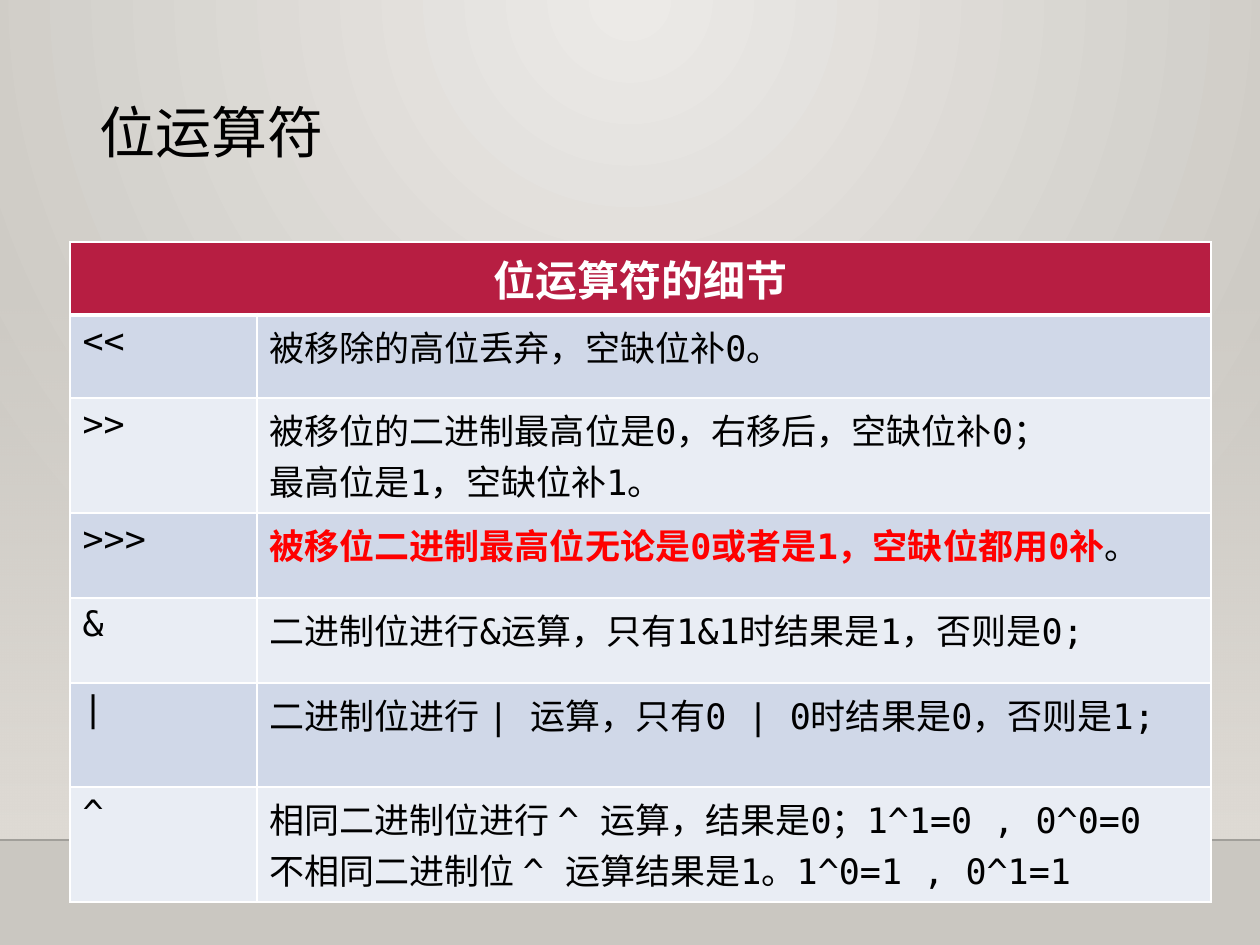
from lxml import etree
from pptx import Presentation
from pptx import util as u
from pptx.dml.color import RGBColor
from pptx.enum import shapes, text
from pptx.oxml import ns

PX_PER_INCH = 126
FONT = "DejaVu Sans Mono"
BLACK = RGBColor(0x00, 0x00, 0x00)
WHITE = RGBColor(0xFF, 0xFF, 0xFF)
RED = RGBColor(0xFF, 0x00, 0x00)
CRIMSON = RGBColor(0xB7, 0x1E, 0x42)
BAND_DARK = RGBColor(0xD0, 0xD8, 0xE8)
BAND_LIGHT = RGBColor(0xE9, 0xED, 0xF4)
GLOW = RGBColor(0xEC, 0xEA, 0xE7)
STONE = RGBColor(0xCA, 0xC7, 0xC1)
SAND = RGBColor(0xDF, 0xDB, 0xD5)
HORIZON = RGBColor(0x00, 0x00, 0x01)

COLUMNS = (187, 954)
ROW_HEIGHTS = (73, 83, 115, 85, 85, 104, 115)
HEADING = "位运算符的细节"
OPERATORS = [
    ("<<", ["被移除的高位丢弃，空缺位补0。"]),
    (">>", ["被移位的二进制最高位是0，右移后，空缺位补0；",
            "最高位是1，空缺位补1。"]),
    (">>>", [[("被移位二进制最高位无论是0或者是1，空缺位都用0补",
               {"color": RED, "bold": True}), ("。", {})]]),
    ("&", ["二进制位进行&运算，只有1&1时结果是1，否则是0;"]),
    ("|", ["二进制位进行 | 运算，只有0 | 0时结果是0，否则是1;"]),
    ("^", ["相同二进制位进行 ^ 运算，结果是0；1^1=0 , 0^0=0",
           "不相同二进制位 ^ 运算结果是1。1^0=1 , 0^1=1"]),
]


def px(length):
    return u.Inches(length / PX_PER_INCH)


def child(parent, tag, **attributes):
    return etree.SubElement(parent, ns.qn(tag), attributes)


def set_alpha(element, percent):
    color = next(element.iter(ns.qn("a:srgbClr")))
    child(color, "a:alpha", val=str(percent * 1000))


def set_gradient(fill, colors):
    fill.gradient()
    for stop, color, position in zip(fill.gradient_stops, colors, (0, 1)):
        stop.color.rgb = color
        stop.position = position


def write(frame, lines, size=20, color=BLACK, bold=False, align=None, spacing=None):
    frame.word_wrap = True
    for index, line in enumerate(lines):
        para = frame.add_paragraph() if index else frame.paragraphs[0]
        para.alignment = align
        para.line_spacing = spacing
        for words, changes in [(line, {})] if isinstance(line, str) else line:
            span = para.add_run()
            span.text = words
            span.font.name = FONT
            span.font.size = u.Pt(size)
            span.font.color.rgb = changes.get("color", color)
            span.font.bold = changes.get("bold", bold)


class SlideBuilder:
    def __init__(self, deck):
        self.page = deck.slides.add_slide(deck.slide_layouts[6])

    def background(self, center, edge):
        set_gradient(self.page.background.fill, (center, edge))
        gradient = next(self.page.element.iter(ns.qn("a:gradFill")))
        gradient.remove(gradient.find(ns.qn("a:lin")))
        circle = child(gradient, "a:path", path="circle")
        child(circle, "a:fillToRect", l="43000", t="0", r="43000", b="100000")

    def fading_panel(self, left, top, width, height, color):
        panel = self.page.shapes.add_shape(
            shapes.MSO_SHAPE.RECTANGLE, px(left), px(top), px(width), px(height))
        panel.shadow.inherit = False
        panel.line.fill.background()
        set_gradient(panel.fill, (color, color))
        panel.fill.gradient_angle = 270
        set_alpha(panel.element.spPr, 0)

    def rule(self, left, right, y, color, weight=1, opacity=100):
        line = self.page.shapes.add_connector(
            shapes.MSO_CONNECTOR.STRAIGHT, px(left), px(y), px(right), px(y))
        line.line.color.rgb = color
        line.line.width = u.Pt(weight)
        set_alpha(line._element.spPr, opacity)
        child(line._element.spPr, "a:effectLst")

    def label(self, left, top, width, height, words, **style):
        box = self.page.shapes.add_textbox(px(left), px(top), px(width), px(height))
        write(box.text_frame, [words], **style)

    def table(self, left, top, columns, heights):
        grid = self.page.shapes.add_table(
            len(heights), len(columns), px(left), px(top),
            px(sum(columns)), px(sum(heights))).table
        for column, width in zip(grid.columns, columns):
            column.width = px(width)
        for row, height in zip(grid.rows, heights):
            row.height = px(height)
        return grid

    def cell(self, cell, lines, fill, above=1, below=1, **style):
        properties = cell._tc.get_or_add_tcPr()
        for side, width in (("L", 1), ("R", 1), ("T", above), ("B", below)):
            border = child(properties, f"a:ln{side}", w=str(u.Pt(width)))
            child(child(border, "a:solidFill"), "a:srgbClr", val=str(WHITE))
        cell.fill.solid()
        cell.fill.fore_color.rgb = fill
        write(cell.text_frame, lines, **style)


def main():
    deck = Presentation()
    deck.slide_width, deck.slide_height = px(1260), px(945)
    slide = SlideBuilder(deck)
    slide.background(GLOW, STONE)
    slide.fading_panel(0, 277, 1260, 562, SAND)
    slide.rule(0, 1260, 840, HORIZON, opacity=20)
    slide.rule(199, 1106, 255, CRIMSON, weight=2.5)
    slide.label(87, 99, 1134, 118, "位运算符", size=32, spacing=0.9)

    grid = slide.table(70, 242, COLUMNS, ROW_HEIGHTS)
    grid.cell(0, 0).merge(grid.cell(0, 1))
    slide.cell(grid.cell(0, 0), [HEADING], CRIMSON, below=3, size=24,
               color=WHITE, bold=True, align=text.PP_ALIGN.CENTER)
    for row, (operator, rules) in enumerate(OPERATORS, start=1):
        fill = BAND_DARK if row % 2 else BAND_LIGHT
        above = 3 if row == 1 else 1
        for column, lines in enumerate(([operator], rules)):
            slide.cell(grid.cell(row, column), lines, fill, above=above)
    deck.save("out.pptx")


if __name__ == "__main__":
    main()
